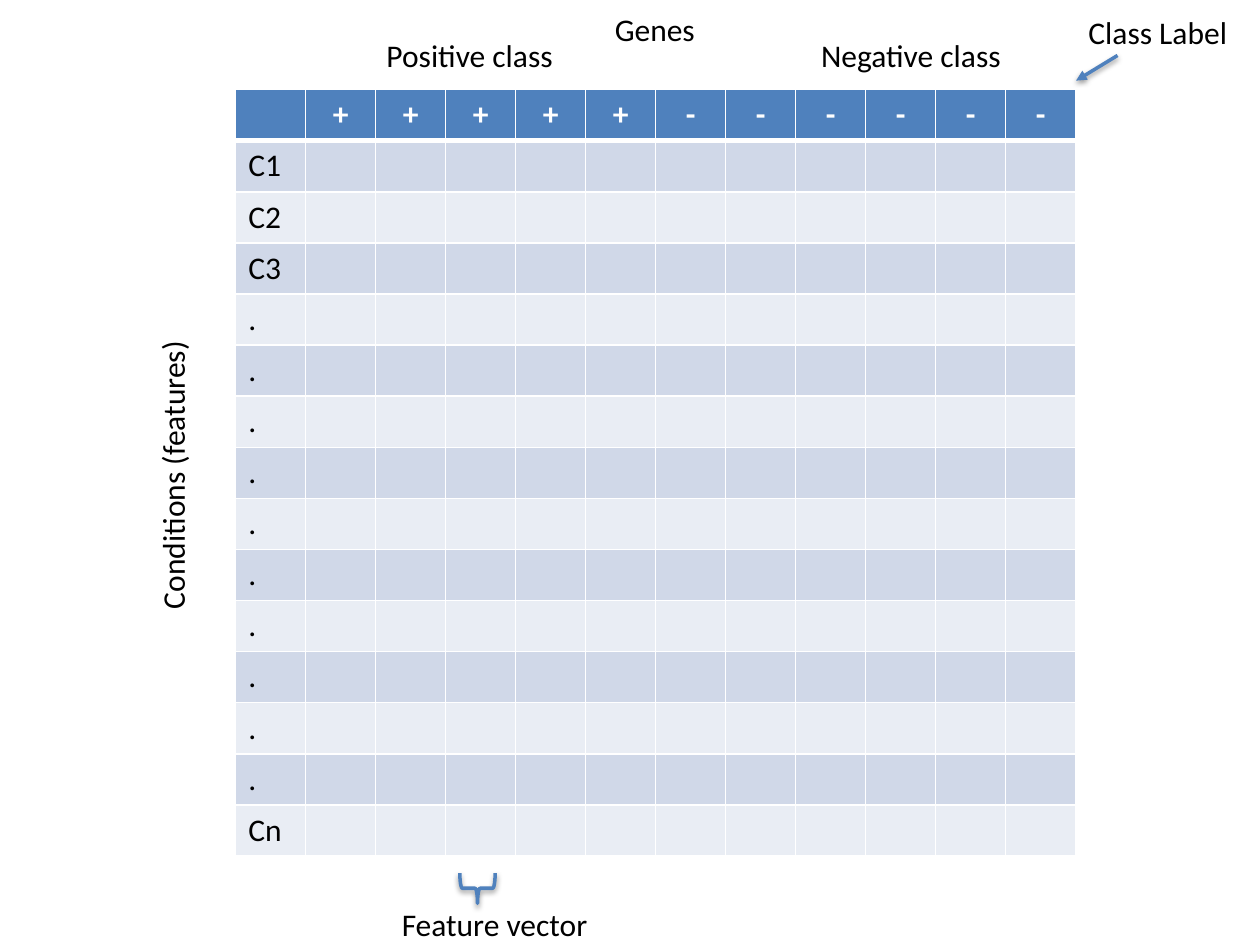
from dataclasses import dataclass

from lxml import etree
from pptx import Presentation
from pptx.dml.color import RGBColor
from pptx.enum.shapes import MSO_CONNECTOR, MSO_SHAPE
from pptx.enum.text import MSO_AUTO_SIZE, PP_ALIGN
from pptx.oxml import parse_xml
from pptx.oxml.ns import nsdecls, qn
from pptx.util import Pt

STRAIGHT = MSO_CONNECTOR.STRAIGHT
RIGHT_BRACE = MSO_SHAPE.RIGHT_BRACE
GROW = MSO_AUTO_SIZE.SHAPE_TO_FIT_TEXT
LEFT, CENTER = PP_ALIGN.LEFT, PP_ALIGN.CENTER


@dataclass(frozen=True)
class Theme:
    font: str = "Calibri"
    size: float = 18
    text: str = "000000"
    white: str = "FFFFFF"
    accent: str = "4F81BD"
    bands: tuple = ("D0D8E8", "E9EDF4")
    stroke: float = 2
    border: float = 1
    header_border: float = 3


THEME = Theme()
CLASSES = ["+"] * 5 + ["-"] * 6
CONDITIONS = ["C1", "C2", "C3"] + ["."] * 10 + ["Cn"]
COL_W, ROW_H = 40, 29.2
LABEL_H = 29.1
LABELS = [
    ("Conditions (features)", 13.7, 255.6, 169.9, 270),
    ("Genes", 344.2, 2.2, 61.2, 0),
    ("Positive class", 213.8, 17.3, 110.9, 0),
    ("Negative class", 462.2, 17.3, 118.1, 0),
    ("Class Label", 614.9, 3.6, 95, 0),
    ("Feature vector", 222.5, 513.4, 121.7, 0),
]


def style_paragraph(p, color, bold=False, align=LEFT):
    p.alignment = align
    p.font.name = THEME.font
    p.font.size = Pt(THEME.size)
    p.font.bold = bold
    p.font.color.rgb = RGBColor.from_string(color)


def set_borders(cell, top, bottom):
    tc_pr = cell._tc.get_or_add_tcPr()
    widths = {"L": THEME.border, "R": THEME.border, "T": top, "B": bottom}
    for side, width in widths.items():
        tc_pr.append(parse_xml(
            f'<a:ln{side} {nsdecls("a")} w="{Pt(width)}"><a:solidFill>'
            f'<a:srgbClr val="{THEME.white}"/></a:solidFill></a:ln{side}>'))


def add_matrix(s, x, y):
    rows = [[""] + CLASSES]
    rows += [[name] + [""] * len(CLASSES) for name in CONDITIONS]
    n_rows, n_cols = len(rows), len(rows[0])
    table = s.shapes.add_table(n_rows, n_cols, Pt(x), Pt(y),
                               Pt(COL_W * n_cols), Pt(ROW_H * n_rows)).table
    for column in table.columns:
        column.width = Pt(COL_W)
    for i, values in enumerate(rows):
        table.rows[i].height = Pt(ROW_H)
        header = i == 0
        fill = THEME.accent if header else THEME.bands[(i - 1) % 2]
        top = THEME.header_border if i == 1 else THEME.border
        bottom = THEME.header_border if header else THEME.border
        for j, value in enumerate(values):
            cell = table.cell(i, j)
            set_borders(cell, top, bottom)
            cell.fill.solid()
            cell.fill.fore_color.rgb = RGBColor.from_string(fill)
            p = cell.text_frame.paragraphs[0]
            p.text = value
            style_paragraph(p, THEME.white if header else THEME.text,
                            header, CENTER if header else LEFT)


def add_label(s, text, x, y, w, rotation):
    box = s.shapes.add_textbox(Pt(x), Pt(y), Pt(w), Pt(LABEL_H))
    box.rotation = rotation
    tf = box.text_frame
    tf.word_wrap = False
    tf.auto_size = GROW
    p = tf.paragraphs[0]
    p.text = text
    style_paragraph(p, THEME.text)


def style_stroke(shape):
    shape.line.color.rgb = RGBColor.from_string(THEME.accent)
    shape.line.width = Pt(THEME.stroke)
    shape._element.spPr.append(parse_xml(
        f'<a:effectLst {nsdecls("a")}><a:outerShdw blurRad="{Pt(3.1)}" '
        f'dist="{Pt(1.6)}" dir="5400000" rotWithShape="0">'
        '<a:srgbClr val="000000"><a:alpha val="38000"/></a:srgbClr>'
        '</a:outerShdw></a:effectLst>'))


def add_arrow(s, x1, y1, x2, y2):
    arrow = s.shapes.add_connector(STRAIGHT, Pt(x1), Pt(y1), Pt(x2), Pt(y2))
    style_stroke(arrow)
    etree.SubElement(arrow.line._get_or_add_ln(), qn("a:tailEnd"),
                     type="triangle")


def add_brace(s, x, y, w, h):
    brace = s.shapes.add_shape(RIGHT_BRACE, Pt(x), Pt(y), Pt(w), Pt(h))
    brace.rotation = 90
    brace.fill.background()
    style_stroke(brace)


def main():
    prs = Presentation()
    prs.slide_width, prs.slide_height = Pt(720), Pt(540)
    s = prs.slides.add_slide(prs.slide_layouts[6])
    add_matrix(s, 134.7, 51.2)
    for label in LABELS:
        add_label(s, *label)
    add_arrow(s, 638.6, 31.7, 614.9, 46.1)
    add_brace(s, 264.2, 497.5, 17.3, 20.2)
    prs.save("out.pptx")


if __name__ == "__main__":
    main()
